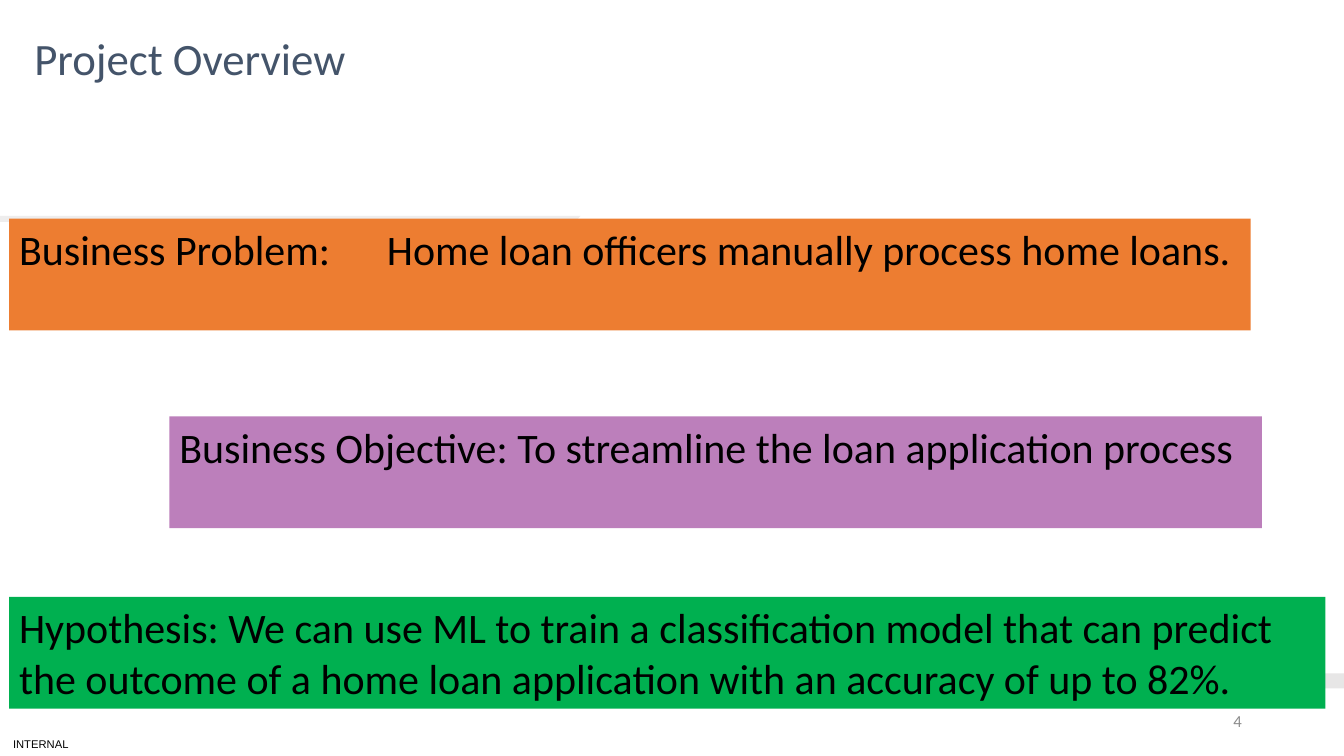
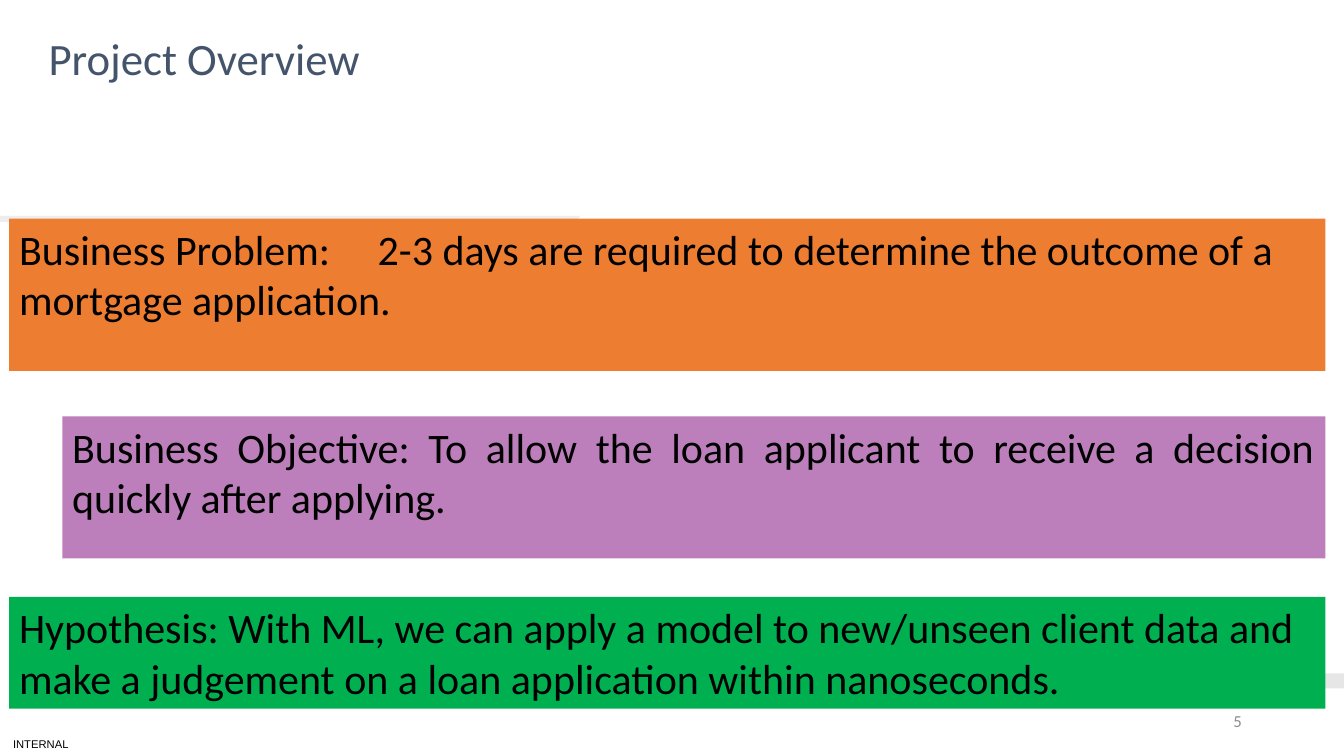
"""Build the two project overview slides of a home loan deck."""
from dataclasses import dataclass

import lxml.etree
import pptx
import pptx.dml.color
import pptx.enum.shapes
import pptx.enum.text
import pptx.oxml.ns
import pptx.util

Cm = pptx.util.Cm
Pt = pptx.util.Pt
qn = pptx.oxml.ns.qn
ALIGN = pptx.enum.text.PP_ALIGN
ANCHOR = pptx.enum.text.MSO_ANCHOR

COLORS = {
    "title": "44546A",
    "text": "000000",
    "number": "8C8C8C",
    "wedge": "E7E6E6",
    "problem": "ED7D31",
    "objective": "BC7FBB",
    "hypothesis": "00B050",
}
FONT = "Calibri"
WIDTH, HEIGHT = 33.87, 19.05
TITLE_ONLY = 5
BAND_TOPS = {"problem": 5.51, "objective": 10.49, "hypothesis": 15.04}


@dataclass
class Band:
    kind: str
    text: str
    left: float = 0.23
    width: float = 33.17
    height: float = 2.82
    align: ALIGN = ALIGN.LEFT
    tab: float = 0


@dataclass
class Overview:
    number: int
    title_left: float
    title_top: float
    bands: list[Band]


@dataclass
class Wedge:
    points: list[tuple[float, float]]
    opacity: int = 100


WEDGES = [
    Wedge([(WIDTH, 16.97), (WIDTH, 17.35), (31.65, 17.35), (31.39, 16.97)]),
    Wedge([(0, 5.44), (0, 5.59), (14.5, 5.59), (14.63, 5.44)], 70),
]

SLIDES = [
    Overview(4, 0.61, 0.81, [
        Band("problem", "Business Problem:\tHome loan officers manually process home loans.",
             width=31.29, tab=9.27),
        Band("objective", "Business Objective: To streamline the loan application process",
             left=4.27, width=27.53),
        Band("hypothesis", "Hypothesis: We can use ML to train a classification model that can "
             "predict the outcome of a home loan application with an accuracy of up to 82%."),
    ]),
    Overview(5, 0.97, 0.79, [
        Band("problem", "Business Problem:\t2-3 days are required to determine the outcome of "
             "a mortgage application.", height=3.84, tab=9.04),
        Band("objective", "Business Objective: To allow the loan applicant to receive a decision "
             "quickly after applying.", left=1.57, width=31.83, height=3.58,
             align=ALIGN.JUSTIFY),
        Band("hypothesis", "Hypothesis: With ML, we can apply a model to new/unseen client data "
             "and make a judgement on a loan application within nanoseconds."),
    ]),
]


def rgb(name: str) -> pptx.dml.color.RGBColor:
    return pptx.dml.color.RGBColor.from_string(COLORS[name])


def set_text(sp, text: str, size: float, color: str, align=ALIGN.LEFT,
             anchor=ANCHOR.TOP, font: str = FONT):
    tf = sp.text_frame
    tf.text = text
    tf.word_wrap = True
    tf.auto_size = pptx.enum.text.MSO_AUTO_SIZE.NONE
    tf.vertical_anchor = anchor
    p = tf.paragraphs[0]
    p.alignment = align
    for r in p.runs:
        r.font.name = font
        r.font.size = Pt(size)
        r.font.color.rgb = rgb(color)
    return p


def fill_flat(sp, color: str) -> None:
    sp.shadow.inherit = False
    sp.fill.solid()
    sp.fill.fore_color.rgb = rgb(color)
    sp.line.fill.background()


def add_wedge(s, wedge: Wedge) -> None:
    points = [(Cm(x), Cm(y)) for x, y in wedge.points]
    builder = s.shapes.build_freeform(*points[0])
    builder.add_line_segments(points[1:], close=True)
    sp = builder.convert_to_shape()
    fill_flat(sp, "wedge")
    if wedge.opacity < 100:
        clr = sp.fill._xPr.find(qn("a:solidFill")).find(qn("a:srgbClr"))
        lxml.etree.SubElement(clr, qn("a:alpha")).set("val", str(wedge.opacity * 1000))


def add_title(s, left: float, top: float) -> None:
    sp = s.shapes.title
    sp.left, sp.top, sp.width, sp.height = Cm(left), Cm(top), Cm(12.29), Cm(2.08)
    p = set_text(sp, "Project Overview", 32, "title")
    p.line_spacing = 0.9
    p.space_before = Pt(10)


def add_footer(s, number: int) -> None:
    sp = s.shapes.add_textbox(Cm(0), Cm(HEIGHT - 0.61), Cm(2.06), Cm(0.61))
    set_text(sp, "INTERNAL", 8, "text", ALIGN.CENTER, ANCHOR.MIDDLE, "Arial")
    tf = sp.text_frame
    tf.margin_left = tf.margin_right = tf.margin_top = tf.margin_bottom = 0
    sp = s.shapes.add_textbox(Cm(23.93), Cm(17.65), Cm(7.62), Cm(1.02))
    set_text(sp, str(number), 12, "number", ALIGN.RIGHT, ANCHOR.MIDDLE)


def add_band(s, band: Band) -> None:
    sp = s.shapes.add_shape(
        pptx.enum.shapes.MSO_SHAPE.RECTANGLE, Cm(band.left), Cm(BAND_TOPS[band.kind]),
        Cm(band.width), Cm(band.height))
    fill_flat(sp, band.kind)
    p = set_text(sp, band.text, 30, "text", band.align)
    if band.tab:
        tabs = lxml.etree.SubElement(p._p.get_or_add_pPr(), qn("a:tabLst"))
        tab = lxml.etree.SubElement(tabs, qn("a:tab"))
        tab.set("pos", str(int(Cm(band.tab))))
        tab.set("algn", "l")


def add_overview(prs, overview: Overview) -> None:
    s = prs.slides.add_slide(prs.slide_layouts[TITLE_ONLY])
    for wedge in WEDGES:
        add_wedge(s, wedge)
    add_footer(s, overview.number)
    add_title(s, overview.title_left, overview.title_top)
    for band in overview.bands:
        add_band(s, band)


def main() -> None:
    prs = pptx.Presentation()
    prs.slide_width, prs.slide_height = Cm(WIDTH), Cm(HEIGHT)
    for overview in SLIDES:
        add_overview(prs, overview)
    prs.save("out.pptx")


if __name__ == "__main__":
    main()
